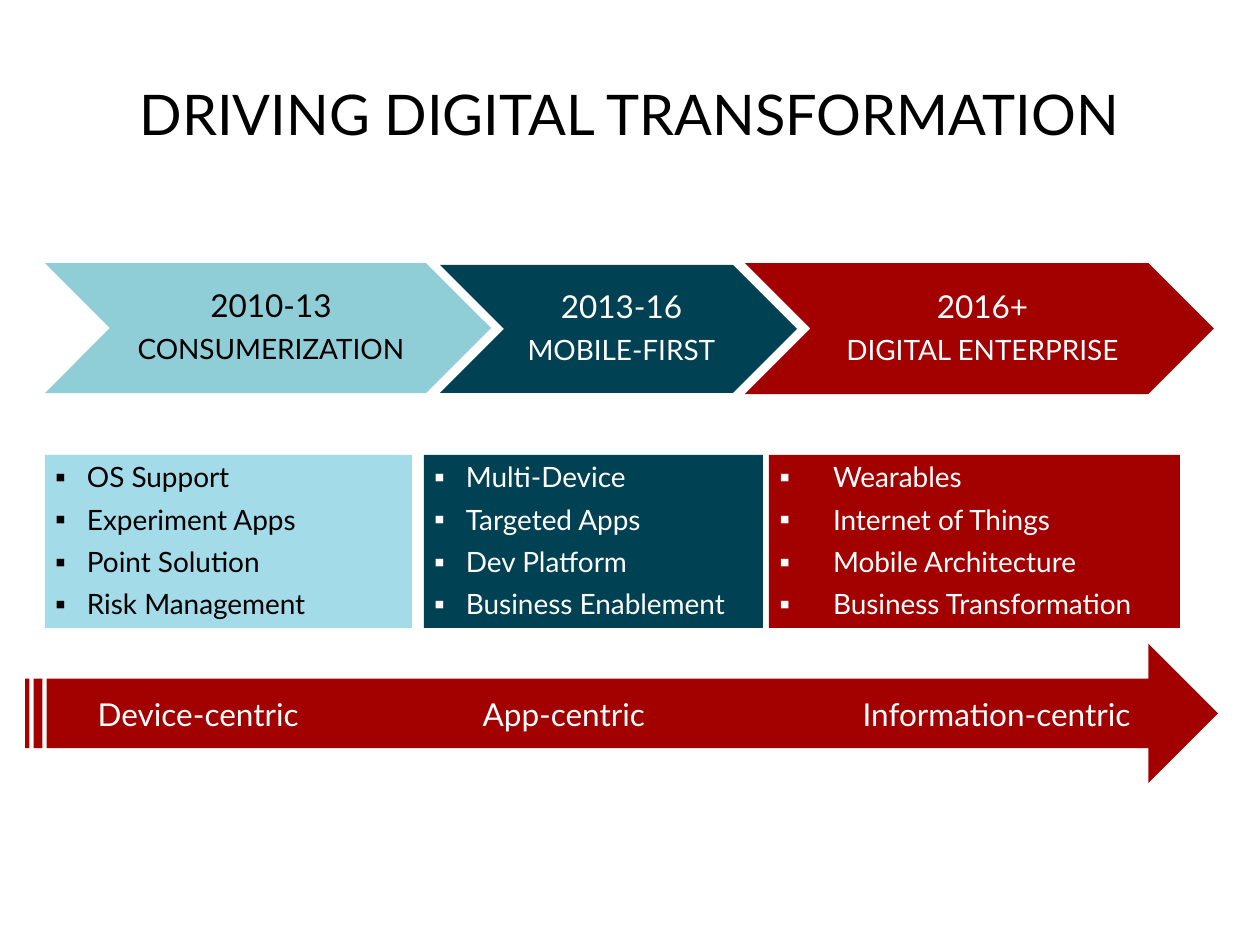
from lxml import etree
from pptx import Presentation, util as u
from pptx.dml.color import RGBColor
from pptx.enum import shapes, text
from pptx.oxml.ns import qn

SCALE = 914400 / 126
INK, WHITE = "000000", "FFFFFF"
TEAL, RED = "004153", "A30000"
MID = text.MSO_ANCHOR.MIDDLE
MAC = shapes.MSO_SHAPE

STAGES = [
    dict(head=["2010-13", "CONSUMERIZATION"], fill="8FCDD7", ink=INK,
         box=(45, 263, 446, 130)),
    dict(head=["2013-16", "MOBILE-FIRST"], fill=TEAL, ink=WHITE,
         box=(440, 265, 357, 128)),
    dict(head=["2016+", "DIGITAL ENTERPRISE"], fill=RED, ink=WHITE,
         box=(745, 263, 469, 131)),
]
LISTS = [
    dict(items=["OS Support", "Experiment Apps", "Point Solution",
                "Risk Management"],
         fill="A3DBE8", ink=INK, box=(45, 455, 367, 173), hang=32),
    dict(items=["Multi-Device", "Targeted Apps", "Dev Platform",
                "Business Enablement"],
         fill=TEAL, ink=WHITE, box=(424, 455, 339, 173), hang=32),
    dict(items=["Wearables", "Internet of Things", "Mobile Architecture",
                "Business Transformation"],
         fill=RED, ink=WHITE, box=(769, 455, 411, 173), hang=54),
]
FOCUS = ["Device-centric", "App-centric", "Information-centric"]


def px(n):
    return u.Emu(round(n * SCALE))


def paint(color, tone):
    color.rgb = RGBColor.from_string(tone)


def shape(parent, kind, box, fill):
    item = parent.add_shape(kind, *map(px, box))
    item.shadow.inherit = False
    item.fill.solid()
    paint(item.fill.fore_color, fill)
    item.line.fill.background()
    return item


def frame(item, pads, anchor):
    """Set wrap, anchor and insets (left, top, right, bottom)."""
    body = item.text_frame
    sides = ("margin_left", "margin_top", "margin_right", "margin_bottom")
    form = dict(zip(sides, map(px, pads)), word_wrap=True,
                vertical_anchor=anchor)
    for key, value in form.items():
        setattr(body, key, value)
    return body


def write(body, lines, ink, sizes, **form):
    """Fill the frame with one paragraph a line and return the paragraphs."""
    for i, (line, size) in enumerate(zip(lines, sizes)):
        para = body.paragraphs[0] if i == 0 else body.add_paragraph()
        for key, value in form.items():
            setattr(para, key, value)
        run = para.add_run()
        run.text = line
        run.font.name, run.font.size = "Lato", u.Pt(size)
        paint(run.font.color, ink)
    return body.paragraphs


def bullet(para, ink, hang):
    props = para._p.get_or_add_pPr()
    props.set("marL", str(px(hang)))
    props.set("indent", str(px(-hang)))
    tint = etree.SubElement(props, qn("a:buClr"))
    etree.SubElement(tint, qn("a:srgbClr"), val=ink)
    etree.SubElement(props, qn("a:buFont"), typeface="Lato")
    etree.SubElement(props, qn("a:buChar"), char="▪")


def tabs(para, stops):
    props = para._p.get_or_add_pPr()
    group = etree.SubElement(props, qn("a:tabLst"))
    for stop in stops:
        etree.SubElement(group, qn("a:tab"), pos=str(px(stop)), algn="l")


def title(slide, box):
    item = slide.shapes.add_textbox(*map(px, box))
    body = frame(item, (0, 0, 0, 0), text.MSO_ANCHOR.BOTTOM)
    write(body, ["DRIVING DIGITAL TRANSFORMATION"], INK, [32],
          alignment=text.PP_ALIGN.CENTER)


def stage(slide, head, fill, ink, box):
    """Draw a chevron with its label between the notch and the point."""
    group = slide.shapes.add_group_shape().shapes
    shape(group, MAC.CHEVRON, box, fill)
    x, y, w, h = box
    label = group.add_textbox(*map(px, (x + h / 2, y, w - h, h)))
    paras = write(frame(label, (10, 4, 4, 4), MID), head, ink, [18, 16],
                  alignment=text.PP_ALIGN.CENTER, line_spacing=0.9)
    paras[1].space_before = paras[1].space_after = u.Pt(6.3)


def panel(slide, items, fill, ink, box, hang):
    item = shape(slide.shapes, MAC.RECTANGLE, box, fill)
    body = frame(item, (10, 5, 10, 5), text.MSO_ANCHOR.TOP)
    paras = write(body, items, ink, [16] * len(items),
                  alignment=text.PP_ALIGN.LEFT, space_after=u.Pt(5))
    for para in paras:
        bullet(para, ink, hang)


def arrow(slide, box):
    item = shape(slide.shapes, MAC.STRIPED_RIGHT_ARROW, box, RED)
    body = frame(item, (51, 5, 10, 5), MID)
    paras = write(body, ["\t".join(FOCUS)], WHITE, [18],
                  alignment=text.PP_ALIGN.LEFT)
    tabs(paras[0], (385, 765))


def main():
    deck = Presentation()
    deck.slide_width, deck.slide_height = px(1260), px(945)
    slide = deck.slides.add_slide(deck.slide_layouts[6])
    for part in STAGES:
        stage(slide, **part)
    for part in LISTS:
        panel(slide, **part)
    arrow(slide, (25, 644, 1193, 139))
    title(slide, (94, -42, 1072, 189))
    deck.save("out.pptx")


if __name__ == "__main__":
    main()
